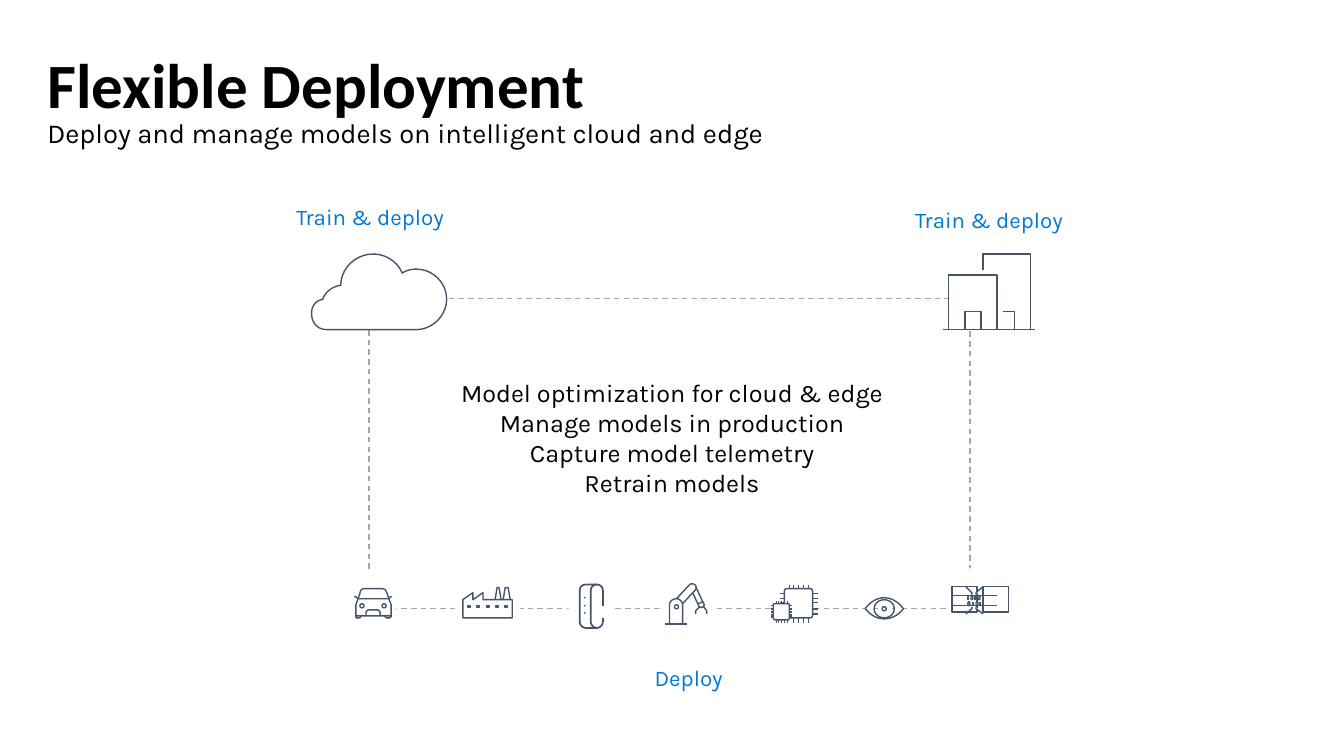
from math import cos, pi, sin

from lxml import etree
from pptx import Presentation
from pptx.dml.color import RGBColor
from pptx.enum.dml import MSO_LINE
from pptx.enum.shapes import MSO_CONNECTOR, MSO_SHAPE
from pptx.enum.text import MSO_ANCHOR, PP_ALIGN
from pptx.oxml.ns import qn
from pptx.util import Inches, Pt

LEFT, CENTER = PP_ALIGN.LEFT, PP_ALIGN.CENTER
TOP, BOTTOM = MSO_ANCHOR.TOP, MSO_ANCHOR.BOTTOM
RECT, OVAL = MSO_SHAPE.RECTANGLE, MSO_SHAPE.OVAL
STRAIGHT, DASH = MSO_CONNECTOR.STRAIGHT, MSO_LINE.DASH
WHITE, BLACK, BLUE, SLATE, GRAY = "FFFFFF", "000000", "0078D4", "44546A", "A5A5A5"

CLOUD = """M 4.13 3.27 L 3.24 3.27 C 3.15 3.27 3.09 3.2 3.09 3.11
    C 3.09 3.04 3.13 2.98 3.2 2.97 C 3.23 2.89 3.3 2.84 3.38 2.83
    C 3.38 2.66 3.53 2.52 3.7 2.52 C 3.82 2.52 3.94 2.59 3.99 2.71
    C 4.03 2.68 4.08 2.67 4.13 2.67 C 4.29 2.67 4.43 2.8 4.43 2.97
    C 4.43 3.13 4.29 3.27 4.13 3.27 Z"""
CAR = """M 3.88 6 L 3.88 6.11 L 3.53 6.11 L 3.53 6 L 3.57 5.89
    C 3.57 5.86 3.59 5.84 3.61 5.84 L 3.79 5.84 C 3.82 5.84 3.83 5.86 3.84 5.89 Z
    M 3.53 6.11 C 3.53 6.12 3.53 6.13 3.54 6.13 L 3.56 6.13 C 3.57 6.13 3.58 6.12 3.58 6.11
    M 3.82 6.11 C 3.82 6.12 3.83 6.13 3.84 6.13 L 3.86 6.13 C 3.87 6.13 3.88 6.12 3.88 6.11
    M 3.77 6.11 L 3.77 6.07 L 3.75 6.05 L 3.65 6.05 L 3.63 6.07 L 3.63 6.11
    M 3.51 5.92 L 3.53 5.92 L 3.55 5.94 L 3.86 5.94 L 3.87 5.92 L 3.89 5.92"""
PLANT = """M 5.08 5.95 L 5.08 6.13 L 4.59 6.13 L 4.59 5.95 L 4.69 5.88 L 4.69 5.95
    L 4.79 5.88 L 4.79 5.95 L 5.08 5.95
    M 4.97 5.95 L 4.95 5.83 L 4.93 5.83 L 4.91 5.95
    M 5.06 5.95 L 5.04 5.83 L 5.01 5.83 L 4.99 5.95"""
BAND = """M 5.98 6.01 L 5.98 5.86 C 5.98 5.82 5.95 5.8 5.92 5.8
    C 5.89 5.8 5.86 5.82 5.86 5.86 L 5.86 6.17 C 5.86 6.2 5.89 6.23 5.92 6.23
    C 5.95 6.23 5.98 6.2 5.98 6.17 L 5.98 6.13
    M 5.92 5.8 L 5.81 5.8 C 5.78 5.8 5.75 5.82 5.75 5.86 L 5.75 6.17
    C 5.75 6.2 5.78 6.23 5.81 6.23 L 5.92 6.23"""
ROBOT = """M 6.98 6.02 L 7.01 6.06 L 7.01 6.09 M 6.94 6.02 L 6.9 6.06 L 6.9 6.09
    M 6.71 5.94 C 6.67 5.94 6.64 5.97 6.64 6 L 6.64 6.19 L 6.77 6.19 L 6.77 6
    C 6.77 5.97 6.74 5.94 6.71 5.94 Z M 6.6 6.19 L 6.81 6.19
    M 6.92 5.99 L 6.97 5.97 M 6.77 5.99 L 6.89 5.86
    C 6.91 5.84 6.91 5.82 6.89 5.8 C 6.88 5.79 6.85 5.79 6.84 5.8 L 6.71 5.94
    M 6.93 6.01 C 6.94 6.03 6.96 6.03 6.97 6.02 C 6.98 6.02 6.99 6 6.98 5.99
    L 6.9 5.82 M 6.93 6.01 L 6.87 5.88"""
CHIP = """M 7.78 5.98 L 7.78 5.87 C 7.78 5.85 7.79 5.84 7.81 5.84 L 8.03 5.84
    C 8.05 5.84 8.06 5.85 8.06 5.87 L 8.06 6.1 C 8.06 6.12 8.05 6.13 8.03 6.13 L 7.83 6.13"""
CORE = """M 7.81 6.15 L 7.69 6.15 C 7.68 6.15 7.67 6.14 7.67 6.13 L 7.67 6
    C 7.67 5.99 7.68 5.99 7.69 5.99 L 7.81 5.99 C 7.82 5.99 7.83 5.99 7.83 6
    L 7.83 6.13 C 7.83 6.14 7.82 6.15 7.81 6.15 Z"""
EYE = """M 8.58 6.04 C 8.61 6.07 8.67 6.14 8.77 6.14 C 8.89 6.14 8.96 6.04 8.96 6.04
    C 8.96 6.04 8.89 5.93 8.77 5.93 C 8.67 5.93 8.6 6.01 8.58 6.04 Z"""


def color(code):
    return RGBColor.from_string(code)


def style(shape, fill=None, line=None, width=1):
    shape.shadow.inherit = False
    if fill:
        shape.fill.solid()
        shape.fill.fore_color.rgb = color(fill)
    else:
        shape.fill.background()
    if line:
        shape.line.color.rgb = color(line)
        shape.line.width = Pt(width)
    else:
        shape.line.fill.background()
    return shape


def block(slide, at, fill=None, line=None, width=1, kind=RECT):
    shape = slide.shapes.add_shape(kind, *map(Inches, at))
    return style(shape, fill, line, width)


def rule(slide, *ends):
    line = slide.shapes.add_connector(STRAIGHT, *map(Inches, ends))
    line.line.color.rgb = color(SLATE)
    line.line.width = Pt(1)
    etree.SubElement(line._element.spPr, qn("a:effectLst"))


def curve(a, b, c, d, steps=10):
    for i in range(1, steps + 1):
        t = i / steps
        u = 1 - t
        yield tuple(u**3 * p + 3 * u * u * t * q + 3 * u * t * t * r + t**3 * s
                    for p, q, r, s in zip(a, b, c, d))


def trace(slide, route, fill=WHITE, width=1):
    """Draw a route of M, L, C and Z steps in inches."""
    parts, words = [], iter(route.split())
    for step in words:
        if step == "Z":
            parts[-1][1] = True
            continue
        count = 3 if step == "C" else 1
        spots = [(float(next(words)), float(next(words))) for _ in range(count)]
        if step == "M":
            parts.append([spots, False])
        elif step == "L":
            parts[-1][0].extend(spots)
        else:
            parts[-1][0].extend(curve(parts[-1][0][-1], *spots))
    pen = None
    for spots, shut in parts:
        first, *rest = [(Inches(x), Inches(y)) for x, y in spots]
        if pen is None:
            pen = slide.shapes.build_freeform(*first, scale=1.0)
        else:
            pen.move_to(*first)
        pen.add_line_segments(rest, close=shut)
    style(pen.convert_to_shape(), fill, SLATE, width)


def ring(x, y, rx, ry):
    turns = [2 * pi * i / 24 for i in range(24)]
    return " M " + " L ".join(f"{x + rx * cos(t)} {y + ry * sin(t)}" for t in turns) + " Z"


def posts(xs, top, end):
    return "".join(f" M {x} {top} L {x} {end}" for x in xs)


def bars(ys, left, end):
    return "".join(f" M {left} {y} L {end} {y}" for y in ys)


def label(slide, at, lines, size, ink=BLACK, font="Karla", align=CENTER,
          bold=False, anchor=TOP, inset=(0, 0), space=None, wrap=True):
    frame = slide.shapes.add_textbox(*map(Inches, at)).text_frame
    frame.word_wrap = wrap
    frame.vertical_anchor = anchor
    frame.margin_left = frame.margin_right = Inches(inset[0])
    frame.margin_top = frame.margin_bottom = Inches(inset[1])
    frame.text = lines
    for para in frame.paragraphs:
        para.alignment = align
        para.line_spacing = space
        for run in para.runs:
            run.font.name, run.font.size, run.font.bold = font, Pt(size), bold
            run.font.color.rgb = color(ink)


def office(slide):
    rule(slide, 9.35, 3.27, 10.27, 3.27)
    trace(slide, "M 9.75 2.68 L 9.75 2.52 L 10.22 2.52 L 10.22 3.27 L 9.75 3.27")
    trace(slide, "M 9.95 3.09 L 10.06 3.09 L 10.06 3.27")
    block(slide, (9.41, 2.73, 0.48, 0.54), WHITE, SLATE)
    block(slide, (9.57, 3.09, 0.16, 0.18), WHITE, SLATE)


def racks(slide):
    # Each half: panel, two folded edges, two shelves
    for left, rim, fold, start, end in ((9.44, 9.58, 9.64, 9.44, 9.68),
                                        (9.75, 9.75, 9.68, 9.64, 9.89)):
        block(slide, (left, 5.82, 0.25, 0.25), WHITE, SLATE)
        trace(slide, f"M {fold} 6.02 L {fold} 6.04 L {rim} 6.09")
        trace(slide, f"M {rim} 5.82 L {fold} 5.88 L {fold} 5.9")
        for y in (5.91, 6.01):
            rule(slide, start, y, end, y)
    # Binary digits
    for ones, zeros, top in (((9.6, 9.67), (9.64, 9.71), 5.91),
                             ((9.65, 9.72), (9.61, 9.69), 5.97)):
        trace(slide, posts(ones, top, top + 0.04)
              + "".join(ring(x, top + 0.02, 0.01, 0.02) for x in zeros))


def devices(slide):
    trace(slide, CAR + ring(3.59, 6.01, 0.02, 0.02) + ring(3.81, 6.01, 0.02, 0.02))
    panes = "".join(f" M {x} 6.01 l {x} 6.03 l {x + 0.02} 6.03 l {x + 0.02} 6.01 Z".upper()
                    for x in (4.64, 4.73, 4.83, 4.92, 5.01))
    trace(slide, PLANT + panes)
    trace(slide, BAND, None, 1.25)
    for y in (5.93, 6.01, 6.08):
        block(slide, (5.8, y, 0, 0), None, SLATE, 1.25, OVAL)
    trace(slide, ROBOT + ring(6.71, 6.02, 0.02, 0.02), None)
    xs, ys = (7.83, 7.87, 7.92, 7.97, 8.02), (5.89, 5.94, 5.98, 6.04, 6.09)
    trace(slide, CHIP + posts(xs, 5.8, 5.84) + posts(xs[1:], 6.13, 6.18)
          + bars(ys, 8.06, 8.11) + bars(ys[:3], 7.74, 7.78))
    xs, ys = (7.7, 7.72, 7.75, 7.78, 7.81), (6.01, 6.04, 6.07, 6.1, 6.12)
    trace(slide, CORE + posts(xs, 5.96, 5.99) + posts(xs, 6.15, 6.18)
          + bars(ys, 7.83, 7.86) + bars(ys, 7.65, 7.67))
    trace(slide, EYE + ring(8.77, 6.04, 0.1, 0.09) + ring(8.77, 6.04, 0.02, 0.02))
    racks(slide)


def main():
    deck = Presentation()
    deck.slide_width, deck.slide_height = Inches(13.33), Inches(7.5)
    slide = deck.slides.add_slide(deck.slide_layouts[6])

    # Dashed loop, with gaps around the devices
    block(slide, (3.66, 2.96, 5.96, 3.08), None, GRAY).line.dash_style = DASH
    for gap in ((3.48, 5.68, 0.45, 0.75), (4.55, 5.74, 0.61, 0.44), (5.64, 5.68, 0.46, 0.59),
                (6.54, 5.81, 0.55, 0.4), (9.39, 5.64, 0.39, 0.76)):
        block(slide, gap, WHITE)

    # Heading
    label(slide, (0.47, 0.33, 12.4, 0.88), "Flexible Deployment", 45, font="Calibri",
          align=LEFT, bold=True, anchor=BOTTOM, space=0.9)
    label(slide, (0.47, 1.19, 12.4, 0.3),
          "Deploy and manage models on intelligent cloud and edge", 19.6, align=LEFT, space=0.9)

    # Icons
    devices(slide)
    office(slide)
    trace(slide, CLOUD)

    # Labels
    for at, words in (((2.92, 2.02, 1.5, 0.27), "Train & deploy"),
                      ((9.06, 2.05, 1.5, 0.27), "Train & deploy"),
                      ((6.46, 6.59, 0.74, 0.27), "Deploy")):
        label(slide, at, words, 16, BLUE, wrap=False)
    label(slide, (4.39, 3.69, 4.55, 1.34),
          "Model optimization for cloud & edge\nManage models in production\n"
          "Capture model telemetry\nRetrain models", 18, inset=(0.1, 0.05))
    deck.save("out.pptx")


if __name__ == "__main__":
    main()
